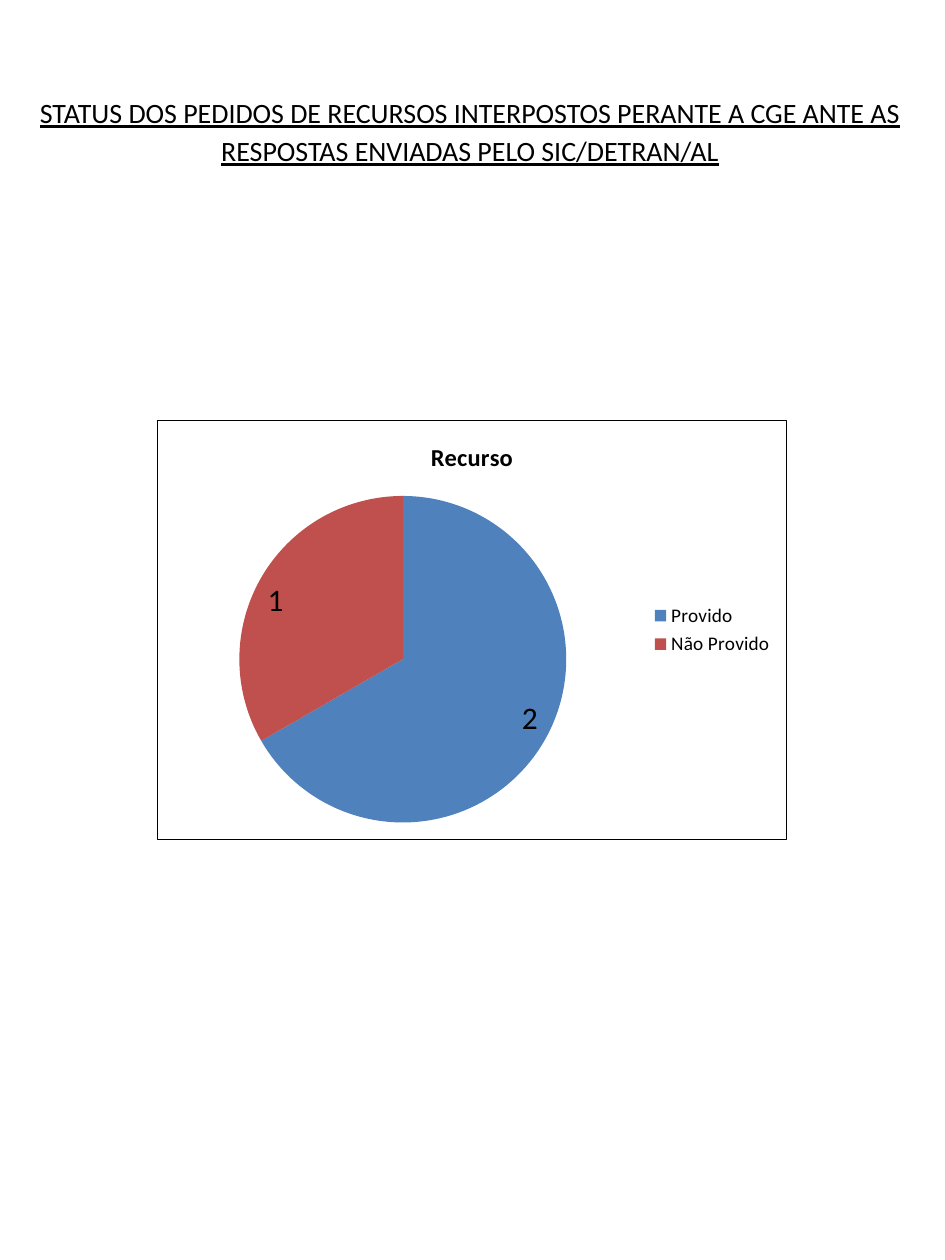
from lxml import etree
from pptx import Presentation
from pptx.chart.data import CategoryChartData
from pptx.dml.color import RGBColor
from pptx.enum.chart import XL_CHART_TYPE, XL_LABEL_POSITION, XL_LEGEND_POSITION
from pptx.enum.text import MSO_ANCHOR, MSO_AUTO_SIZE, PP_ALIGN
from pptx.oxml import parse_xml
from pptx.oxml.ns import nsdecls, qn
from pptx.util import Pt

PX = 914400 // 126  # EMU per pixel
BLACK = RGBColor(0x00, 0x00, 0x00)
BLUE = RGBColor(0x4F, 0x81, 0xBD)
RED = RGBColor(0xC0, 0x50, 0x4D)
FONT = "Calibri"
HEADING = ("STATUS DOS PEDIDOS DE RECURSOS INTERPOSTOS PERANTE A CGE "
           "ANTE AS RESPOSTAS ENVIADAS PELO SIC/DETRAN/AL")
APPEALS = {"Provido": (2, BLUE), "Não Provido": (1, RED)}


def set_font(font, size, bold=False):
    font.name = FONT
    font.size = Pt(size)
    font.bold = bold
    font.color.rgb = BLACK


def add_heading(page, left, top, width, height):
    box = page.shapes.title
    box.left, box.top, box.width, box.height = (
        length * PX for length in (left, top, width, height))
    frame = box.text_frame
    frame.text = HEADING
    frame.word_wrap = True
    frame.auto_size = MSO_AUTO_SIZE.NONE
    frame.vertical_anchor = MSO_ANCHOR.TOP
    para = frame.paragraphs[0]
    para.alignment = PP_ALIGN.CENTER
    para.line_spacing = 1.15
    para.space_before = Pt(0)
    para.space_after = Pt(10)
    set_font(para.font, 16)
    para.font.underline = True


def add_border(chart):
    """Outline the whole chart area."""
    border = parse_xml(
        f'<c:spPr {nsdecls("c", "a")}><a:noFill/><a:ln w="{Pt(0.75)}">'
        f'<a:solidFill><a:srgbClr val="{BLACK}"/></a:solidFill></a:ln></c:spPr>')
    chart.element.find(qn("c:chart")).addnext(border)


def place_plot(chart, **fractions):
    """Fix the plot area as fractions of the chart's box."""
    plot_area = chart.element.find(".//" + qn("c:plotArea"))
    for old in plot_area.findall(qn("c:layout")):
        plot_area.remove(old)
    layout = etree.Element(qn("c:layout"))
    manual = etree.SubElement(layout, qn("c:manualLayout"))
    settings = {"layoutTarget": "inner", "xMode": "edge", "yMode": "edge", **fractions}
    for tag, value in settings.items():
        etree.SubElement(manual, qn(f"c:{tag}")).set("val", str(value))
    plot_area.insert(0, layout)


def add_appeals_chart(page, left, top, width, height):
    chart_data = CategoryChartData()
    chart_data.categories = list(APPEALS)
    chart_data.add_series("Recurso", [value for value, _ in APPEALS.values()])
    chart = page.shapes.add_chart(
        XL_CHART_TYPE.PIE, left * PX, top * PX, width * PX, height * PX,
        chart_data).chart
    set_font(chart.font, 18)

    # Title and legend
    chart.has_title = True
    chart.chart_title.include_in_layout = False
    title = chart.chart_title.text_frame
    title.text = "Recurso"
    set_font(title.paragraphs[0].font, 14, bold=True)
    chart.has_legend = True
    chart.legend.position = XL_LEGEND_POSITION.RIGHT
    chart.legend.include_in_layout = False
    set_font(chart.legend.font, 11)

    # Slices and values
    plot = chart.plots[0]
    plot.vary_by_categories = True
    for index, (_, color) in enumerate(APPEALS.values()):
        fill = plot.series[0].points[index].format.fill
        fill.solid()
        fill.fore_color.rgb = color
    plot.has_data_labels = True
    labels = plot.data_labels
    labels.show_value = True
    labels.show_percentage = False
    labels.position = XL_LABEL_POSITION.INSIDE_END
    set_font(labels.font, 18)

    place_plot(chart, x=0.13, y=0.18, w=0.52, h=0.78)
    add_border(chart)


def main():
    deck = Presentation()
    deck.slide_width = 945 * PX
    deck.slide_height = 1260 * PX
    page = deck.slides.add_slide(deck.slide_layouts[5])
    add_heading(page, 16, 84, 908, 91)
    add_appeals_chart(page, 157, 420, 630, 420)
    deck.save("out.pptx")


if __name__ == "__main__":
    main()
